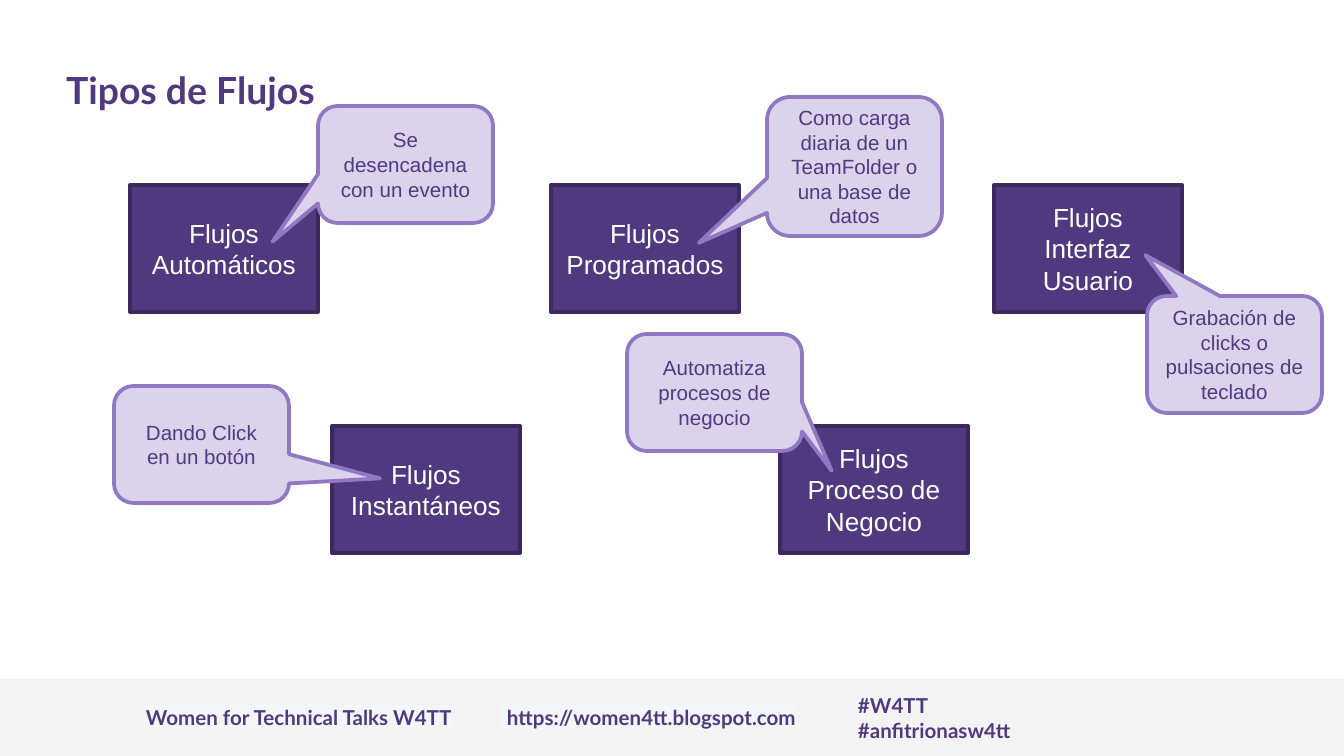
from lxml import etree
from pptx import Presentation, util as u
from pptx.dml.color import RGBColor
from pptx.enum import shapes, text
from pptx.oxml.ns import qn

PX = 914400 / 134.4
PURPLE = RGBColor(0x51, 0x39, 0x7F)
DARK = RGBColor(0x3C, 0x2A, 0x5E)
LILAC = RGBColor(0xDB, 0xD2, 0xEB)
VIOLET = RGBColor(0x92, 0x78, 0xC2)
GREY = RGBColor(0xF3, 0xF3, 0xF3)
PALE = RGBColor(0xF3, 0xF6, 0xF8)
WHITE = RGBColor(0xFF, 0xFF, 0xFF)
RECT = shapes.MSO_SHAPE.RECTANGLE
BUBBLE = shapes.MSO_SHAPE.ROUNDED_RECTANGULAR_CALLOUT

deck = Presentation()
deck.slide_width, deck.slide_height = u.Emu(int(1344 * PX)), u.Emu(int(756 * PX))
slide = deck.slides.add_slide(deck.slide_layouts[6])


def put(words, x, y, w, h, kind=None, fill=None, line=None, size=11,
        font="Lato", color=PURPLE, bold=False, middle=True, mark=0):
    """Place a shape, or a text box if no kind; mark counts highlighted letters."""
    spot = [u.Emu(round(n * PX)) for n in (x, y, w, h)]
    if kind is None:
        item = slide.shapes.add_textbox(*spot)
    else:
        item = slide.shapes.add_shape(kind, *spot)
        item.shadow.inherit = False
        item.fill.solid()
        item.fill.fore_color.rgb = fill
        if line is None:
            item.line.fill.background()
        else:
            item.line.color.rgb = line
            item.line.width = u.Pt(2)
    frame = item.text_frame
    frame.word_wrap = True
    pad = u.Emu(round(13 * PX))
    frame.margin_left = frame.margin_right = pad
    frame.margin_top = frame.margin_bottom = pad if kind is None else pad // 2
    anchor = text.MSO_ANCHOR
    frame.vertical_anchor = anchor.MIDDLE if middle else anchor.TOP
    para = frame.paragraphs[0]
    para.alignment = text.PP_ALIGN.LEFT if kind is None else text.PP_ALIGN.CENTER
    for part, lit in ((words[:mark], True), (words[mark:], False)):
        if not part:
            continue
        run = para.add_run()
        run.text = part
        run.font.size, run.font.name, run.font.bold = u.Pt(size), font, bold
        run.font.color.rgb = color
        if lit:
            glow = etree.Element(qn("a:highlight"))
            etree.SubElement(glow, qn("a:srgbClr"), val=str(PALE))
            run.font._element.find(qn("a:solidFill")).addnext(glow)
    return item


# Footer
put("", 0, 679, 1344, 77, kind=RECT, fill=GREY)
for words, x, w, mark in (
    ("#W4TT #anfitrionasw4tt", 845, 196, 1),
    ("Women for Technical Talks W4TT", 133, 438, 30),
    (" https://women4tt.blogspot.com", 489, 356, 30),
):
    put(words, x, 678, w, 79, bold=True, mark=mark)

put("Tipos de Flujos", 53, 54, 1167, 89, size=20, bold=True, middle=False)

# Flow types
for words, x, y in (
    ("Flujos Automáticos", 130, 185),
    ("Flujos Instantáneos", 332, 426),
    ("Flujos Programados", 551, 185),
    ("Flujos Proceso de Negocio", 780, 426),
    ("Flujos Interfaz Usuario", 994, 185),
):
    put(words, x, y, 188, 127, kind=RECT, fill=PURPLE, line=DARK,
        size=14, font="Arial", color=WHITE)

# Callouts, with the tip as a share of width and height from the centre
for words, x, y, h, tip in (
    ("Se desencadena con un evento", 318, 106, 117, (-0.76, 0.66)),
    ("Dando Click en un botón", 114, 386, 117, (1.02, 0.29)),
    ("Como carga diaria de un TeamFolder o una base de datos",
     767, 97, 139, (-0.89, 0.55)),
    ("Grabación de clicks o pulsaciones de teclado",
     1147, 296, 117, (-0.51, -0.85)),
    ("Automatiza procesos de negocio", 627, 334, 117, (0.67, 0.67)),
):
    note = put(words, x, y, 175, h, kind=BUBBLE, fill=LILAC, line=VIOLET, font="Arial")
    note.adjustments[0], note.adjustments[1] = tip

deck.save("out.pptx")
